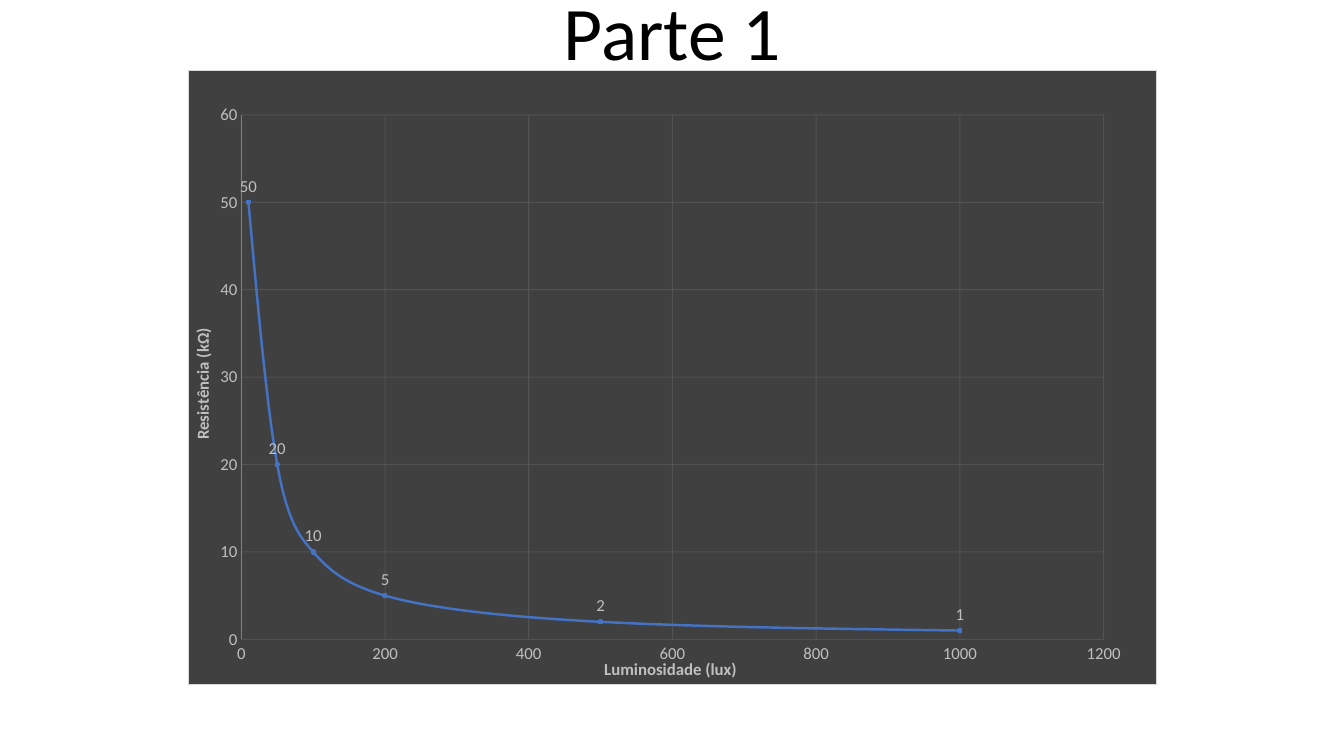
import pptx
import pptx.util
import pptx.chart.data
import pptx.oxml
import pptx.oxml.ns
from pptx.dml.color import RGBColor
from pptx.enum.chart import XL_CHART_TYPE, XL_MARKER_STYLE, XL_TICK_MARK
from pptx.enum.text import MSO_ANCHOR, PP_ALIGN
from pptx.util import Inches, Pt

# Content
TITLE = "Parte 1"
POINTS = [(10, 50), (50, 20), (100, 10), (200, 5), (500, 2), (1000, 1)]
AXES = {
    "x": ("Luminosidade (lux)", 1200, 200),
    "y": ("Resistência (kΩ)", 60, 10),
}
PLOT = {"x": 0.055, "y": 0.073, "w": 0.89, "h": 0.853}

# Style
FONT = "Calibri"
BLACK = RGBColor(0, 0, 0)
PALE = RGBColor(0xBF, 0xBF, 0xBF)
GRID = RGBColor(0x59, 0x59, 0x59)
EDGE = RGBColor(0x80, 0x80, 0x80)
BLUE = RGBColor(0x44, 0x72, 0xC4)
LIGHT = RGBColor(0x8F, 0xAA, 0xDC)
DARK = RGBColor(0x40, 0x40, 0x40)
FRAME = RGBColor(0xD9, 0xD9, 0xD9)
NS = pptx.oxml.ns.nsdecls("c", "a")
qn = pptx.oxml.ns.qn


def style(font, size, color, bold=False):
    font.name = FONT
    font.size = Pt(size)
    font.bold = bold
    font.color.rgb = color


def stroke(line, color, width=0.75):
    line.color.rgb = color
    line.width = Pt(width)


def set_axis(axis, name, top, step):
    axis.minimum_scale, axis.maximum_scale = 0, top
    axis.major_unit = step
    axis.major_tick_mark = axis.minor_tick_mark = XL_TICK_MARK.NONE
    style(axis.tick_labels.font, 12, PALE)
    axis.has_major_gridlines = True
    grid = axis.major_gridlines.format.line
    stroke(grid, GRID)
    # Make the grid partly transparent
    tint = axis.major_gridlines._xAx.find(qn("c:majorGridlines")).find(".//" + qn("a:srgbClr"))
    tint.append(pptx.oxml.parse_xml(f'<a:alpha {NS} val="75000"/>'))
    para = axis.axis_title.text_frame.paragraphs[0]
    para.text = name
    style(para.font, 12, PALE, True)


def set_frame(chart):
    """Fill the chart area and fix the inner plot area."""
    root = chart._chartSpace
    root.find(qn("c:chart")).addnext(pptx.oxml.parse_xml(
        f'<c:spPr {NS}><a:solidFill><a:srgbClr val="{DARK}"/></a:solidFill>'
        f'<a:ln w="{Pt(0.75)}"><a:solidFill><a:srgbClr val="{FRAME}"/>'
        '</a:solidFill></a:ln></c:spPr>'))
    area = root.find(".//" + qn("c:plotArea"))
    old = area.find(qn("c:layout"))
    if old is not None:
        area.remove(old)
    modes = "".join(f'<c:{k}Mode val="edge"/>' for k in "xy")
    sizes = "".join(f'<c:{k} val="{v}"/>' for k, v in PLOT.items())
    area.insert(0, pptx.oxml.parse_xml(
        f'<c:layout {NS}><c:manualLayout><c:layoutTarget val="inner"/>'
        f'{modes}{sizes}</c:manualLayout></c:layout>'))


def set_labels(ser):
    """Show values above the points and smooth the curve."""
    shows = "".join(
        f'<c:show{k} val="{int(k == "Val")}"/>'
        for k in ("LegendKey", "Val", "CatName", "SerName", "Percent", "BubbleSize"))
    ser.find(qn("c:xVal")).addprevious(pptx.oxml.parse_xml(
        f'<c:dLbls {NS}><c:spPr><a:noFill/><a:ln><a:noFill/></a:ln></c:spPr>'
        '<c:txPr><a:bodyPr/><a:p><a:pPr><a:defRPr sz="1200" b="0">'
        f'<a:solidFill><a:srgbClr val="{PALE}"/></a:solidFill>'
        f'<a:latin typeface="{FONT}"/></a:defRPr></a:pPr></a:p></c:txPr>'
        f'<c:dLblPos val="t"/>{shows}</c:dLbls>'))
    ser.find(qn("c:smooth")).set("val", "1")


# Slide
deck = pptx.Presentation()
deck.slide_width, deck.slide_height = Inches(13.33), Inches(7.5)
slide = deck.slides.add_slide(deck.slide_layouts[6])

# Chart
data = pptx.chart.data.XyChartData()
curve = data.add_series("Series 1")
for lux, ohm in POINTS:
    curve.add_data_point(lux, ohm)
chart = slide.shapes.add_chart(
    XL_CHART_TYPE.XY_SCATTER_SMOOTH, Inches(1.86), Inches(0.69),
    Inches(9.62), Inches(6.11), data).chart
chart.has_title = chart.has_legend = False
style(chart.font, 10, BLACK)
set_axis(chart.category_axis, *AXES["x"])
set_axis(chart.value_axis, *AXES["y"])
chart.category_axis.format.line.fill.background()
stroke(chart.value_axis.format.line, EDGE)
set_frame(chart)

# Series
plot = chart.plots[0]
plot.vary_by_categories = False
series = plot.series[0]
stroke(series.format.line, BLUE, 1.75)
mark = series.marker
mark.style, mark.size = XL_MARKER_STYLE.CIRCLE, 3
mark.format.fill.solid()
mark.format.fill.fore_color.rgb = LIGHT
stroke(mark.format.line, BLUE)
set_labels(series._element)

# Title
box = slide.shapes.add_textbox(Inches(5.48), Inches(-0.2), Inches(2.38), Inches(1.01))
frame = box.text_frame
frame.word_wrap = False
frame.vertical_anchor = MSO_ANCHOR.TOP
para = frame.paragraphs[0]
para.text = TITLE
para.alignment = PP_ALIGN.CENTER
style(para.font, 54, BLACK)

deck.save("out.pptx")
